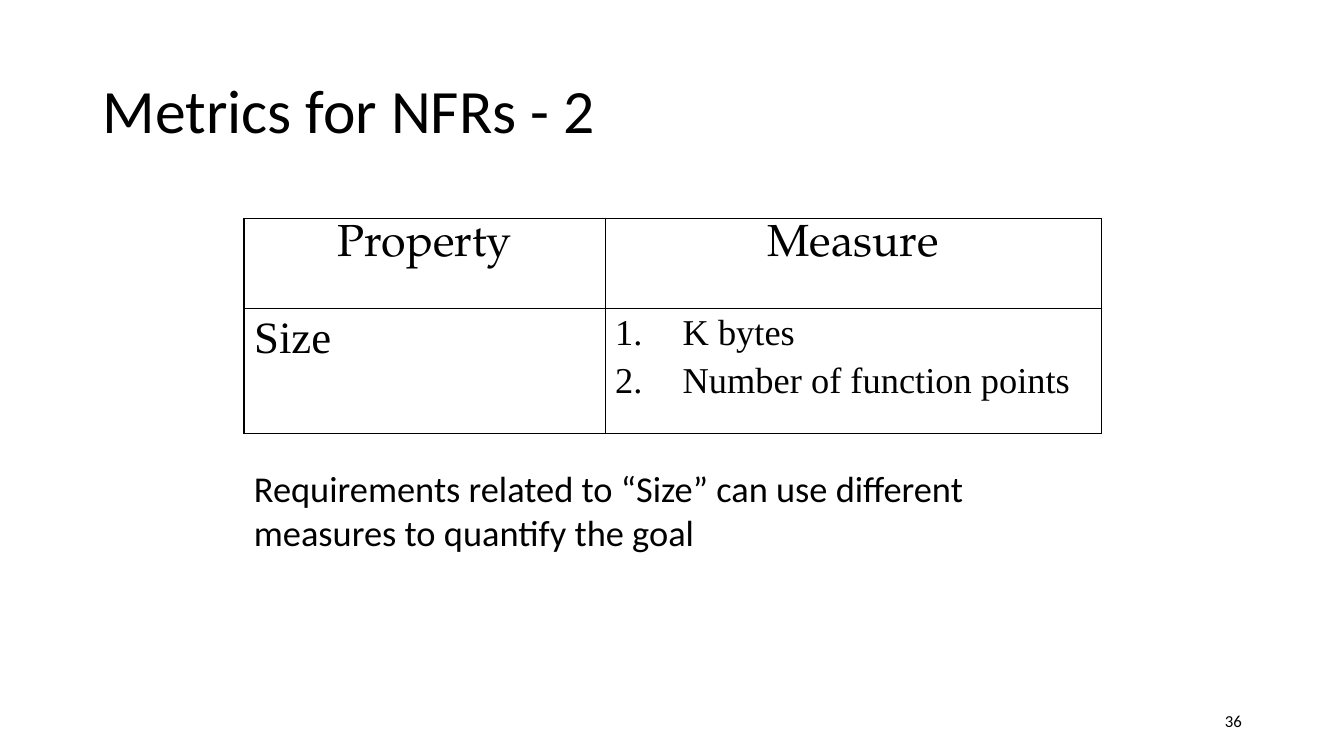
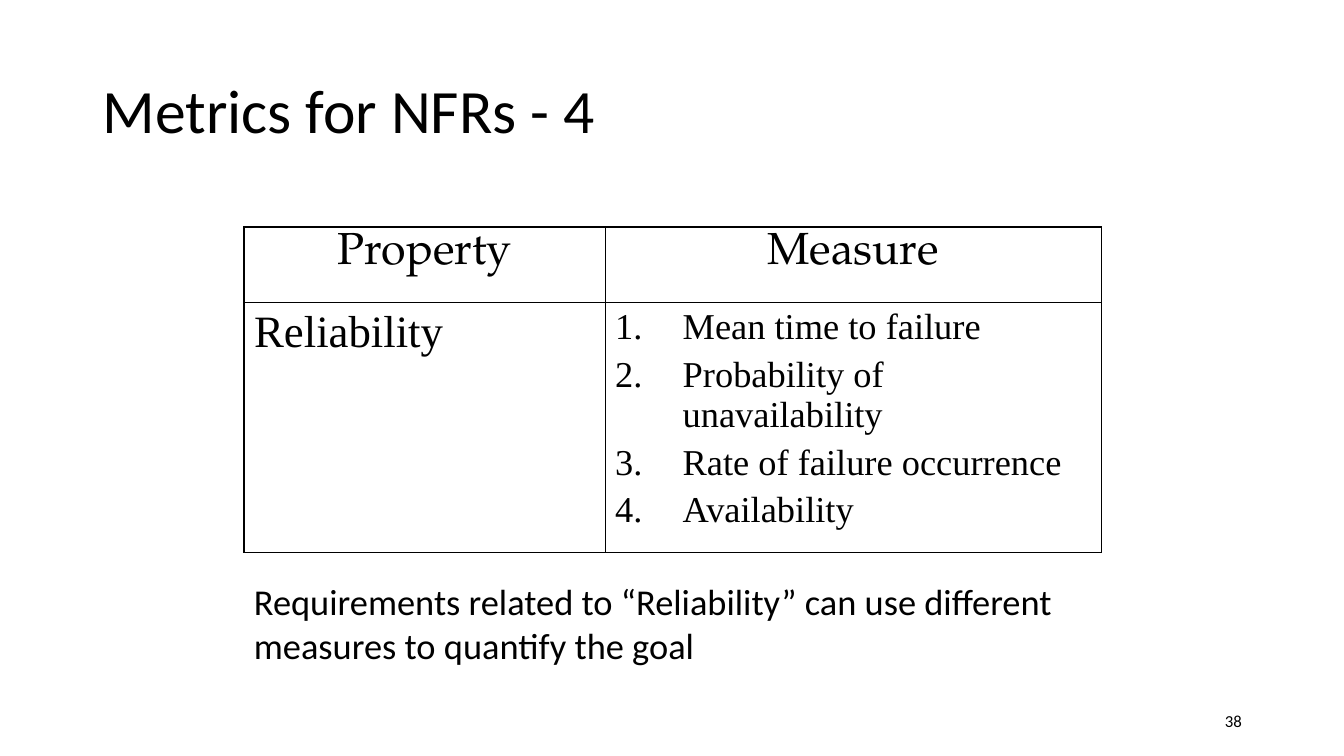
from lxml import etree
from pptx import Presentation
from pptx.dml.color import RGBColor
from pptx.enum.text import MSO_ANCHOR, PP_ALIGN
from pptx.oxml.ns import qn
from pptx.util import Cm, Pt

LEFT, CENTER, RIGHT = PP_ALIGN.LEFT, PP_ALIGN.CENTER, PP_ALIGN.RIGHT
TOP, MIDDLE = MSO_ANCHOR.TOP, MSO_ANCHOR.MIDDLE
BLACK = RGBColor(0, 0, 0)

STYLES = {
    "title": {"font": {"name": "Calibri", "size": Pt(44)},
              "paragraph": {"alignment": LEFT, "line_spacing": 0.9}},
    "number": {"font": {"name": "Calibri", "size": Pt(12)},
               "paragraph": {"alignment": RIGHT}},
    "caption": {"font": {"name": "Calibri", "size": Pt(26)},
                "paragraph": {"alignment": LEFT}},
    "header": {"font": {"name": "TeX Gyre Pagella", "size": Pt(32)},
               "paragraph": {"alignment": CENTER}},
    "property": {"font": {"name": "Times New Roman", "size": Pt(32)},
                 "paragraph": {"alignment": LEFT}},
    "measure": {"font": {"name": "Times New Roman", "size": Pt(26)},
                "paragraph": {"alignment": LEFT}},
}
ITEM_GAP = Pt(5.2)
ITEM_INDENT = Cm(1.7)
TABLE_LEFT = Cm(6.15)
COLUMN_WIDTHS = [Cm(9.1), Cm(12.5)]
BORDER_WIDTH = Pt(1)

SLIDES = [
    {"number": "36", "title": "Metrics for NFRs - 2", "property": "Size",
     "measures": ["K bytes", "Number of function points"],
     "table_top": Cm(5.51), "row_heights": [Cm(2.26), Cm(3.15)],
     "caption_top": Cm(11.63)},
    {"number": "38", "title": "Metrics for NFRs - 4", "property": "Reliability",
     "measures": ["Mean time to failure", "Probability of unavailability",
                  "Rate of failure occurrence", "Availability"],
     "table_top": Cm(5.72), "row_heights": [Cm(1.9), Cm(1.9)],
     "caption_top": Cm(14.48)},
]


def write_lines(text_frame, lines, style_name):
    style = STYLES[style_name]
    for index, line in enumerate(lines):
        paragraph = text_frame.add_paragraph() if index else text_frame.paragraphs[0]
        run = paragraph.add_run()
        run.text = line
        run.font.color.rgb = BLACK
        for target, values in ((paragraph, style["paragraph"]), (run.font, style["font"])):
            for name, value in values.items():
                setattr(target, name, value)
        if index:
            paragraph.space_before = ITEM_GAP


def add_text(slide, box, text, style_name, anchor):
    text_frame = slide.shapes.add_textbox(*box).text_frame
    text_frame.word_wrap = True
    text_frame.vertical_anchor = anchor
    write_lines(text_frame, [text], style_name)


presentation = Presentation()
presentation.slide_width = Cm(33.87)
presentation.slide_height = Cm(19.05)
blank_layout = presentation.slide_layouts[6]

for content in SLIDES:
    slide = presentation.slides.add_slide(blank_layout)
    add_text(slide, (Cm(23.93), Cm(17.65), Cm(7.62), Cm(1.02)),
             content["number"], "number", MIDDLE)
    add_text(slide, (Cm(2.34), Cm(1.02), Cm(29.21), Cm(3.68)),
             content["title"], "title", MIDDLE)

    table = slide.shapes.add_table(
        2, 2, TABLE_LEFT, content["table_top"],
        sum(COLUMN_WIDTHS), sum(content["row_heights"])).table
    table.first_row = False
    table.horz_banding = False
    for column, width in zip(table.columns, COLUMN_WIDTHS):
        column.width = width
    for row, height in zip(table.rows, content["row_heights"]):
        row.height = height

    cells = [(["Property"], "header"), (["Measure"], "header"),
             ([content["property"]], "property"), (content["measures"], "measure")]
    for cell, (lines, style_name) in zip(table.iter_cells(), cells):
        write_lines(cell.text_frame, lines, style_name)
        cell.fill.background()
        properties = cell._tc.get_or_add_tcPr()
        for position, side in enumerate(("a:lnL", "a:lnR", "a:lnT", "a:lnB")):
            border = etree.Element(qn(side), w=str(BORDER_WIDTH))
            fill = etree.SubElement(border, qn("a:solidFill"))
            etree.SubElement(fill, qn("a:srgbClr"), val=str(BLACK))
            properties.insert(position, border)

    for paragraph in table.cell(1, 1).text_frame.paragraphs:
        properties = paragraph._p.get_or_add_pPr()
        properties.set("marL", str(ITEM_INDENT))
        properties.set("indent", str(-ITEM_INDENT))
        etree.SubElement(properties, qn("a:buFont"), typeface="+mj-lt")
        etree.SubElement(properties, qn("a:buAutoNum"), type="arabicPeriod")

    add_text(slide, (TABLE_LEFT, content["caption_top"], Cm(22.02), Cm(2.46)),
             f"Requirements related to “{content['property']}” can use different "
             "measures to quantify the goal", "caption", TOP)

presentation.save("out.pptx")
